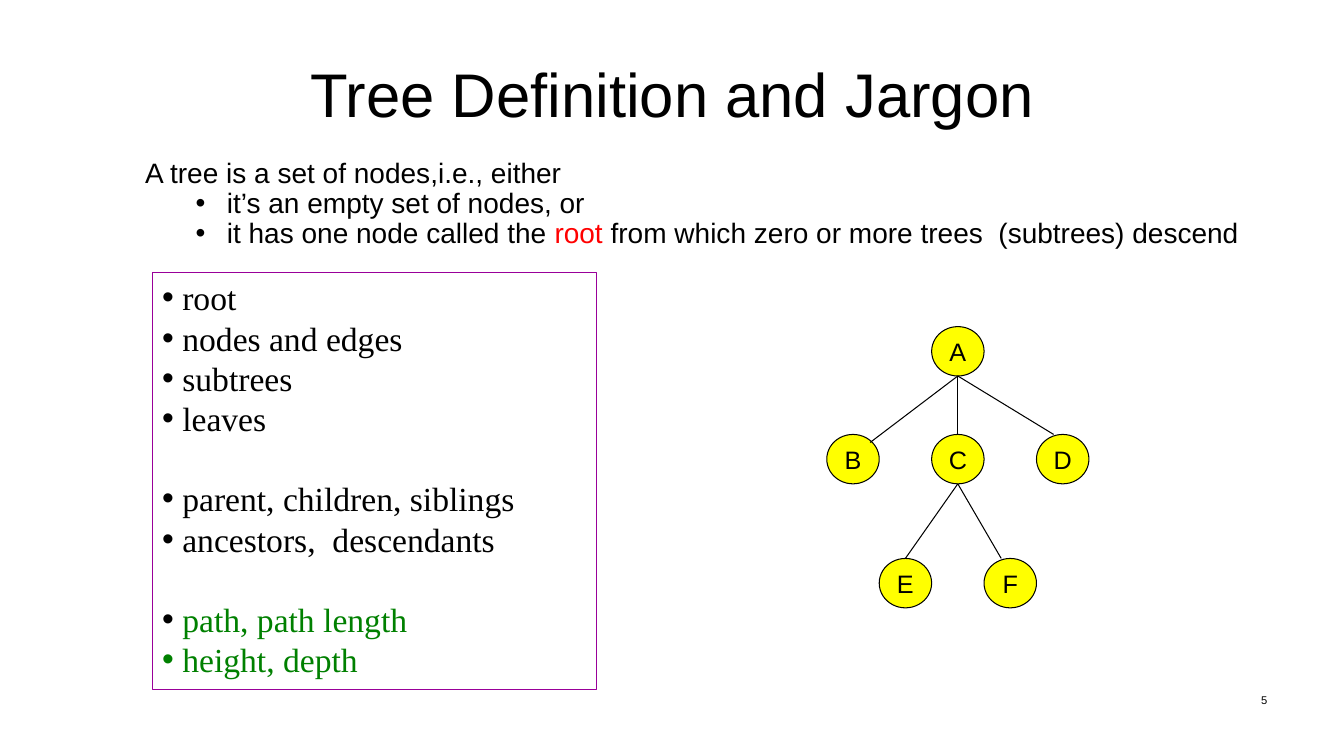
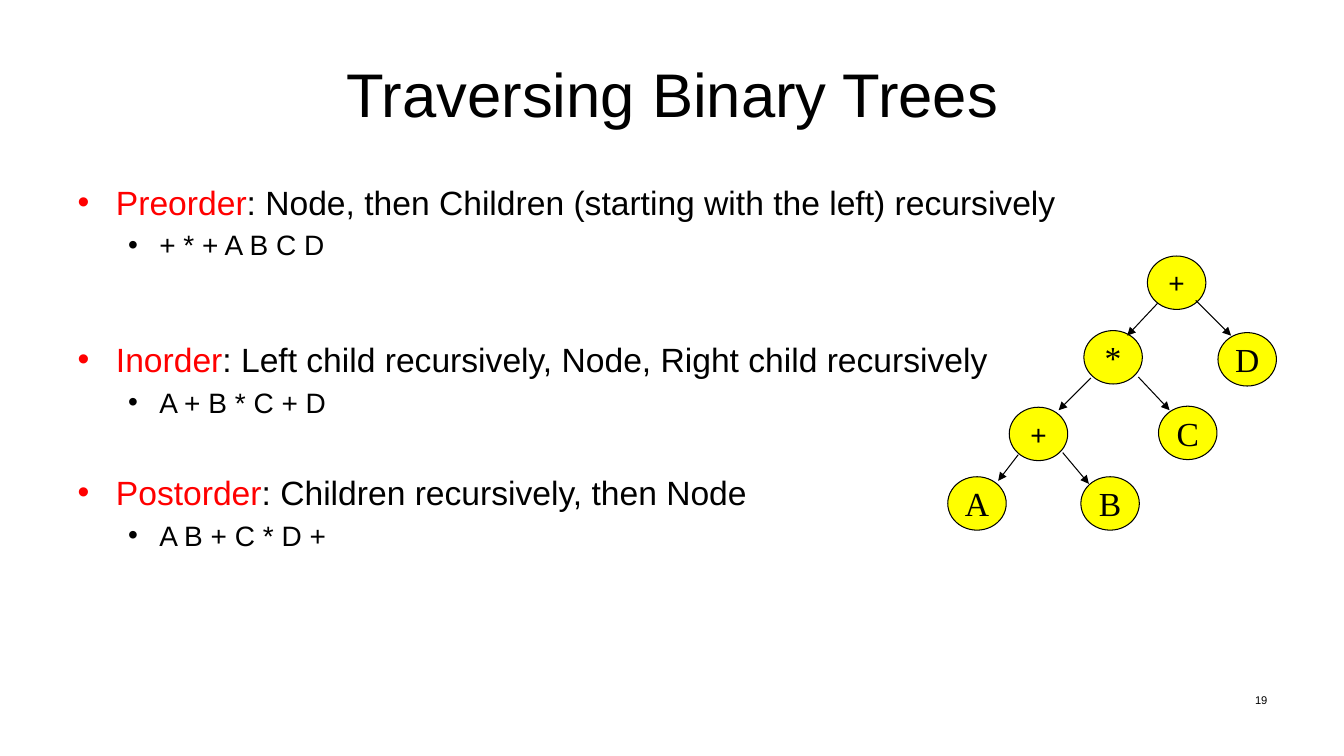
"""Build two lecture slides about trees and their traversal."""
from dataclasses import dataclass

from lxml import etree
from pptx import Presentation
from pptx.dml.color import RGBColor
from pptx.enum.shapes import MSO_CONNECTOR, MSO_SHAPE
from pptx.enum.text import MSO_ANCHOR, MSO_AUTO_SIZE, PP_ALIGN
from pptx.oxml.ns import qn
from pptx.util import Inches, Pt

STRAIGHT = MSO_CONNECTOR.STRAIGHT
OVAL, RECTANGLE = MSO_SHAPE.OVAL, MSO_SHAPE.RECTANGLE
TOP, MIDDLE = MSO_ANCHOR.TOP, MSO_ANCHOR.MIDDLE
NO_AUTOFIT = MSO_AUTO_SIZE.NONE
LEFT, CENTER, RIGHT = PP_ALIGN.LEFT, PP_ALIGN.CENTER, PP_ALIGN.RIGHT

BLACK = RGBColor(0x00, 0x00, 0x00)
RED = RGBColor(0xFF, 0x00, 0x00)
GREEN = RGBColor(0x00, 0x80, 0x00)
YELLOW = RGBColor(0xFF, 0xFF, 0x00)
PURPLE = RGBColor(0x99, 0x00, 0x99)
SANS, SERIF = "Arial", "Times New Roman"
THIN = Pt(0.75)

TITLE_AREA = (0.67, 0.3, 12, 1.25)
NUMBER_AREA = (9.56, 6.83, 3.11, 0.52)
INTRO_AREA = (1.34, 1.53, 11.65, 1.01)
JARGON_AREA = (1.51, 2.7, 4.41, 4.14)
ORDERS_AREA = (0.67, 1.75, 10.21, 3.96)


@dataclass(frozen=True)
class Style:
    """Describe one kind of paragraph."""
    size: int
    font: str = SANS
    level: int = 0
    margin: float = 0
    hanging: float = 0
    bullet: RGBColor | None = None
    spacing: float = 1.0


LEAD = Style(20, spacing=0.9)
CASE = Style(20, level=1, margin=0.81, hanging=0.31, bullet=BLACK, spacing=0.9)
TERM = Style(24, SERIF, margin=0.2, hanging=0.2, bullet=BLACK)
GREEN_TERM = Style(24, SERIF, margin=0.2, hanging=0.2, bullet=GREEN)
ORDER = Style(24, margin=0.38, hanging=0.38, bullet=RED)
SEQUENCE = Style(20, level=1, margin=0.81, hanging=0.31, bullet=BLACK)

INTRO = [
    (LEAD, 0, [("A tree is a set of nodes,i.e., either", BLACK)]),
    (CASE, 0, [("it’s an empty set of nodes, or", BLACK)]),
    (CASE, 0, [("it has one node called the ", BLACK), ("root", RED),
               (" from which zero or more trees  (subtrees) descend", BLACK)]),
]
JARGON = [
    (TERM, 0, [("root", BLACK)]),
    (TERM, 0, [("nodes and edges", BLACK)]),
    (TERM, 0, [("subtrees", BLACK)]),
    (TERM, 0, [("leaves", BLACK)]),
    (TERM, 28.5, [("parent, children, siblings", BLACK)]),
    (TERM, 0, [("ancestors,  descendants", BLACK)]),
    (TERM, 28.5, [("path, path length", GREEN)]),
    (GREEN_TERM, 0, [("height, depth", GREEN)]),
]
ORDERS = [
    (ORDER, 0, [("Preorder", RED),
                (": Node, then Children (starting with the left) recursively", BLACK)]),
    (SEQUENCE, 4.4, [("+ * + A B C D", BLACK)]),
    (ORDER, 55, [("Inorder", RED),
                 (": Left child recursively, Node, Right child recursively", BLACK)]),
    (SEQUENCE, 4.4, [("A + B * C + D", BLACK)]),
    (ORDER, 38, [("Postorder", RED), (": Children recursively, then Node", BLACK)]),
    (SEQUENCE, 4.4, [("A B + C * D +", BLACK)]),
]

COLUMNS = [8.2 + 0.52 * step for step in range(5)]
ROWS = [3.24, 4.31, 5.54]
LETTER = Style(18)
FOOT = (0.26, 0.49)
GENERAL_TREE = {
    "size": (0.52, 0.49),
    "arrows": False,
    "nodes": {
        "A": ("A", COLUMNS[2], ROWS[0], LETTER),
        "B": ("B", COLUMNS[0], ROWS[1], LETTER),
        "C": ("C", COLUMNS[2], ROWS[1], LETTER),
        "D": ("D", COLUMNS[4], ROWS[1], LETTER),
        "E": ("E", COLUMNS[1], ROWS[2], LETTER),
        "F": ("F", COLUMNS[3], ROWS[2], LETTER),
    },
    "edges": [
        ("A", FOOT, "B", (0.43, 0.08)),
        ("A", FOOT, "C", (0.26, 0)),
        ("A", FOOT, "D", (0.17, 0)),
        ("C", FOOT, "E", (0.26, 0)),
        ("C", FOOT, "F", (0.17, 0)),
    ],
}

OPERAND, OPERATOR = Style(24, SERIF), Style(20)
BINARY_TREE = {
    "size": (0.58, 0.53),
    "arrows": True,
    "nodes": {
        "root": ("+", 11.38, 2.54, OPERATOR),
        "product": ("*", 10.75, 3.28, OPERAND),
        "sum": ("+", 10.01, 4.04, OPERATOR),
        "A": ("A", 9.4, 4.73, OPERAND),
        "B": ("B", 10.72, 4.73, OPERAND),
        "C": ("C", 11.49, 4.03, OPERAND),
        "D": ("D", 12.08, 3.3, OPERAND),
    },
    "edges": [
        ("root", (0.1, 0.47), "product", (0.43, 0.05)),
        ("root", (0.48, 0.44), "D", (0.13, 0.03)),
        ("product", (0.07, 0.47), "sum", (0.49, 0.03)),
        ("product", (0.54, 0.46), "C", (0.11, 0.04)),
        ("sum", (0.09, 0.47), "A", (0.5, 0.04)),
        ("sum", (0.53, 0.45), "B", (0.08, 0.07)),
    ],
}


def place(shape, area):
    """Move a shape to an area given in inches."""
    shape.left, shape.top, shape.width, shape.height = map(Inches, area)


def set_bullet(para, style):
    """Give a paragraph its indents and its bullet."""
    properties = para._p.get_or_add_pPr()
    properties.set("marL", str(Inches(style.margin)))
    properties.set("indent", str(-Inches(style.hanging)))
    if style.bullet is None:
        etree.SubElement(properties, qn("a:buNone"))
        return
    color = etree.SubElement(properties, qn("a:buClr"))
    etree.SubElement(color, qn("a:srgbClr"), val=str(style.bullet))
    etree.SubElement(properties, qn("a:buFont"), typeface=SANS)
    etree.SubElement(properties, qn("a:buChar"), char="•")


def write(shape, lines, align=LEFT, anchor=TOP):
    """Fill a shape with styled paragraphs of coloured spans."""
    frame = shape.text_frame
    frame.word_wrap = True
    frame.auto_size = NO_AUTOFIT
    frame.vertical_anchor = anchor
    for index, (style, gap, spans) in enumerate(lines):
        para = frame.add_paragraph() if index else frame.paragraphs[0]
        set_bullet(para, style)
        para.level = style.level
        para.alignment = align
        para.line_spacing = style.spacing
        para.space_before = Pt(gap)
        para.font.size = Pt(style.size)
        para.font.name = style.font
        for text, color in spans:
            span = para.add_run()
            span.text = text
            span.font.color.rgb = color


def add_page(deck, title, number, body_area, body_lines):
    """Add a slide with its title, body text and slide number."""
    page = deck.slides.add_slide(deck.slide_layouts[1])
    place(page.shapes.title, TITLE_AREA)
    write(page.shapes.title, [(Style(44), 0, [(title, BLACK)])], CENTER, MIDDLE)
    body = page.placeholders[1]
    place(body, body_area)
    write(body, body_lines)
    number_box = page.shapes.add_textbox(*map(Inches, NUMBER_AREA))
    write(number_box, [(Style(8), 0, [(number, BLACK)])], RIGHT)
    return page


def add_jargon(page):
    """Add the framed list of terms."""
    box = page.shapes.add_shape(RECTANGLE, *map(Inches, JARGON_AREA))
    box.shadow.inherit = False
    box.fill.background()
    box.line.color.rgb = PURPLE
    box.line.width = THIN
    write(box, JARGON)


def add_edge(shapes, start, end, arrow):
    """Join two points, with an arrowhead if wanted."""
    edge = shapes.add_connector(STRAIGHT, *map(Inches, start + end))
    edge.line.color.rgb = BLACK
    edge.line.width = THIN
    if arrow:
        etree.SubElement(edge.line._get_or_add_ln(), qn("a:tailEnd"), type="triangle")
    etree.SubElement(edge._element.spPr, qn("a:effectLst"))


def add_tree(page, tree):
    """Draw the nodes and edges of a tree as one group."""
    shapes = page.shapes.add_group_shape().shapes
    nodes = tree["nodes"]
    for label, left, top, style in nodes.values():
        node = shapes.add_shape(OVAL, *map(Inches, (left, top) + tree["size"]))
        node.shadow.inherit = False
        node.fill.solid()
        node.fill.fore_color.rgb = YELLOW
        node.line.color.rgb = BLACK
        node.line.width = THIN
        frame = node.text_frame
        frame.margin_left = frame.margin_right = 0
        frame.margin_top = frame.margin_bottom = 0
        write(node, [(style, 0, [(label, BLACK)])], CENTER, MIDDLE)
    for parent, leave, child, arrive in tree["edges"]:
        start, end = (
            (nodes[name][1] + shift[0], nodes[name][2] + shift[1])
            for name, shift in ((parent, leave), (child, arrive))
        )
        add_edge(shapes, start, end, tree["arrows"])


def main():
    """Build and save the deck."""
    deck = Presentation()
    deck.slide_width, deck.slide_height = Inches(13.33), Inches(7.5)

    definition = add_page(deck, "Tree Definition and Jargon", "5", INTRO_AREA, INTRO)
    add_jargon(definition)
    add_tree(definition, GENERAL_TREE)

    traversal = add_page(deck, "Traversing Binary Trees", "19", ORDERS_AREA, ORDERS)
    add_tree(traversal, BINARY_TREE)

    deck.save("out.pptx")


if __name__ == "__main__":
    main()
